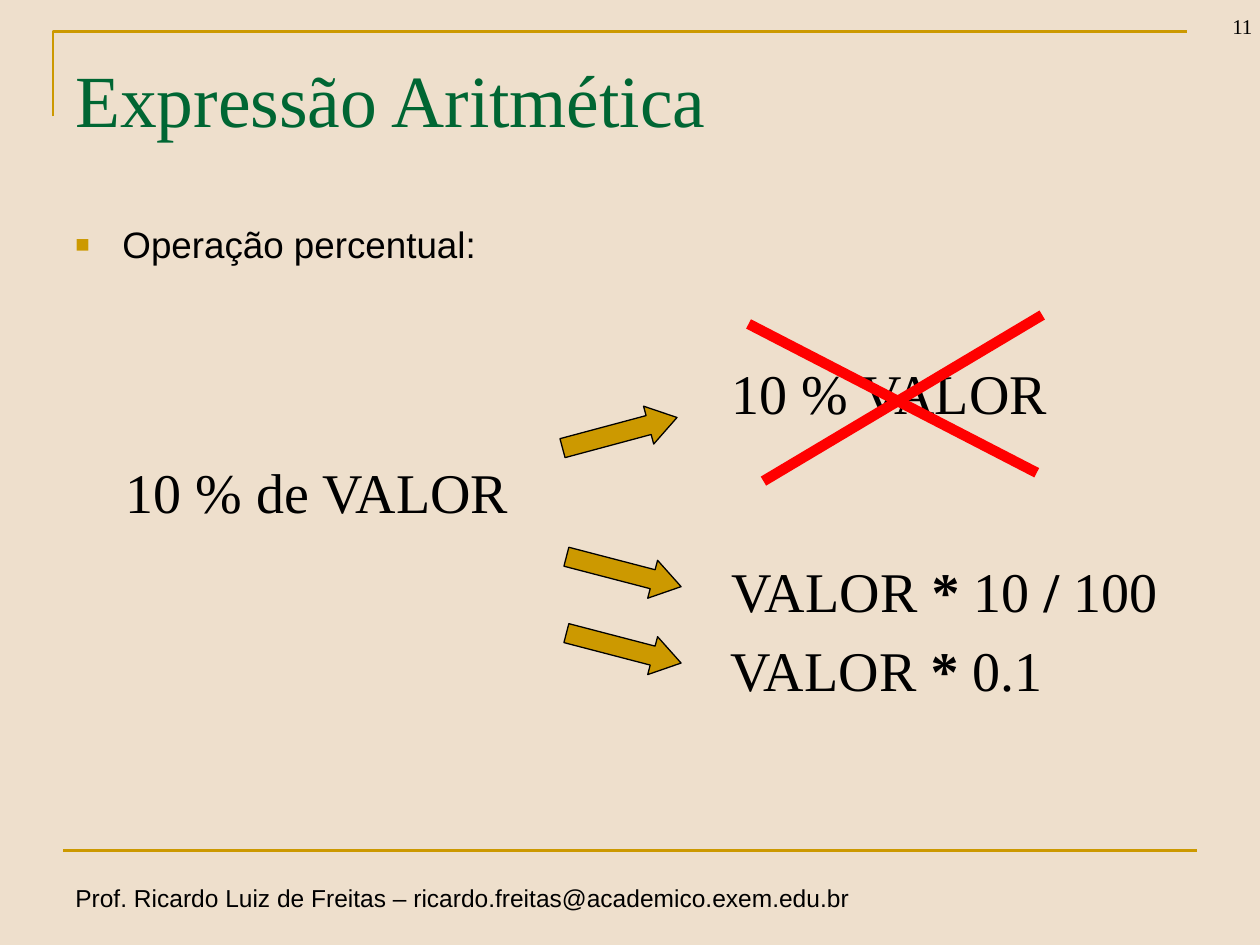
from pptx import Presentation
from pptx.util import Cm, Pt
from pptx.dml.color import RGBColor
from pptx.enum.shapes import MSO_SHAPE as Shape, MSO_CONNECTOR as Conn
from pptx.enum.text import MSO_ANCHOR as Anchor, PP_ALIGN as Align
from pptx.oxml import parse_xml
from pptx.oxml.ns import nsdecls, qn
from lxml.etree import SubElement as Sub

GOLD, GREEN, RED, BLACK = "CC9900", "006633", "FF0000", "000000"
ARIAL, TIMES = "Arial", "Times New Roman"
color = RGBColor.from_string

deck = Presentation()
deck.slide_width, deck.slide_height = Cm(25.4), Cm(19.05)
slide = deck.slides.add_slide(deck.slide_layouts[6])
shapes = slide.shapes
slide.background.fill.solid()
slide.background.fill.fore_color.rgb = color("EEDFCC")


def add_text(box, parts, size, font, tint=BLACK):
    """Add a text box; parts that are operators turn bold."""
    frame = shapes.add_textbox(*map(Cm, box)).text_frame
    frame.word_wrap = True
    para = frame.paragraphs[0]
    for part in parts:
        run = para.add_run()
        run.text = part
        run.font.size, run.font.name = Pt(size), font
        run.font.bold = part in ("*", "/")
        run.font.color.rgb = color(tint)
    return frame


def add_line(x1, y1, x2, y2, tint, width):
    line = shapes.add_connector(Conn.STRAIGHT, Cm(x1), Cm(y1), Cm(x2), Cm(y2))
    line.line.color.rgb = color(tint)
    line.line.width = Pt(width)
    Sub(line._element.spPr, qn("a:effectLst"))


# Corner frame and footer rule
pen = shapes.build_freeform(Cm(1.07), Cm(2.34))
pen.add_line_segments([(Cm(1.07), Cm(0.64)), (Cm(23.93), Cm(0.64))], close=False)
frame = pen.convert_to_shape()
frame.shadow.inherit = False
frame.fill.background()
frame.line.color.rgb = color(GOLD)
frame.line.width = Pt(1.5)
add_line(1.27, 17.15, 24.13, 17.15, GOLD, 1.5)

# Footer and page number
foot = "Prof. Ricardo Luiz de Freitas – ricardo.freitas@academico.exem.edu.br"
add_text((1.27, 17.68, 16.2, 0.86), [foot], 14, ARIAL).word_wrap = False
page = add_text((23.6, -0.36, 1.9, 1.27), ["11"], 12, TIMES)
page.vertical_anchor = Anchor.BOTTOM
page.paragraphs[0].alignment = Align.RIGHT

# Title
title = add_text((1.27, 0.76, 22.86, 3.18), ["Expressão Aritmética"], 42, TIMES, GREEN)
title.margin_top = Cm(0.33)

# Bullet line
body = add_text((1.27, 4.45, 13.44, 1.47), ["Operação percentual:"], 21, ARIAL)
para = body.paragraphs[0]
para.line_spacing = 0.9
props = para._p.get_or_add_pPr()
props.set("marL", str(Cm(0.95)))
props.set("indent", str(-Cm(0.95)))
for tag in (
    f'<a:buClr {nsdecls("a")}><a:srgbClr val="{GOLD}"/></a:buClr>',
    f'<a:buSzPct {nsdecls("a")} val="65000"/>',
    f'<a:buFont {nsdecls("a")} typeface="{ARIAL}"/>',
    f'<a:buChar {nsdecls("a")} char="■"/>',
):
    props.append(parse_xml(tag))

# Expressions
for x, y, width, parts in (
    (2.29, 9.25, 11.4, ["10 % de VALOR"]),
    (14.5, 7.26, 7.8, ["10 % VALOR"]),
    (14.5, 11.25, 9.53, ["VALOR ", "*", " 10 ", "/", " 100"]),
    (14.48, 12.83, 8.2, ["VALOR ", "*", " 0.1"]),
):
    text = add_text((x, y, width, 1.5), parts, 32, TIMES)
    text.paragraphs[0].line_spacing = 0.9

# Arrows to each expression
for x, y, turn in ((11.3, 8.33, -15), (11.38, 11.13, 14.6), (11.38, 12.67, 14.6)):
    arrow = shapes.add_shape(Shape.RIGHT_ARROW, Cm(x), Cm(y), Cm(2.39), Cm(0.79))
    arrow.adjustments[0], arrow.adjustments[1] = 0.5, 0.75
    arrow.rotation = turn
    arrow.shadow.inherit = False
    arrow.fill.solid()
    arrow.fill.fore_color.rgb = color(GOLD)
    arrow.line.color.rgb = color(BLACK)
    arrow.line.width = Pt(0.75)

# Cross over the wrong form
add_line(15.09, 6.53, 20.9, 9.53, RED, 6)
add_line(21.01, 6.35, 15.39, 9.7, RED, 6)

deck.save("out.pptx")
